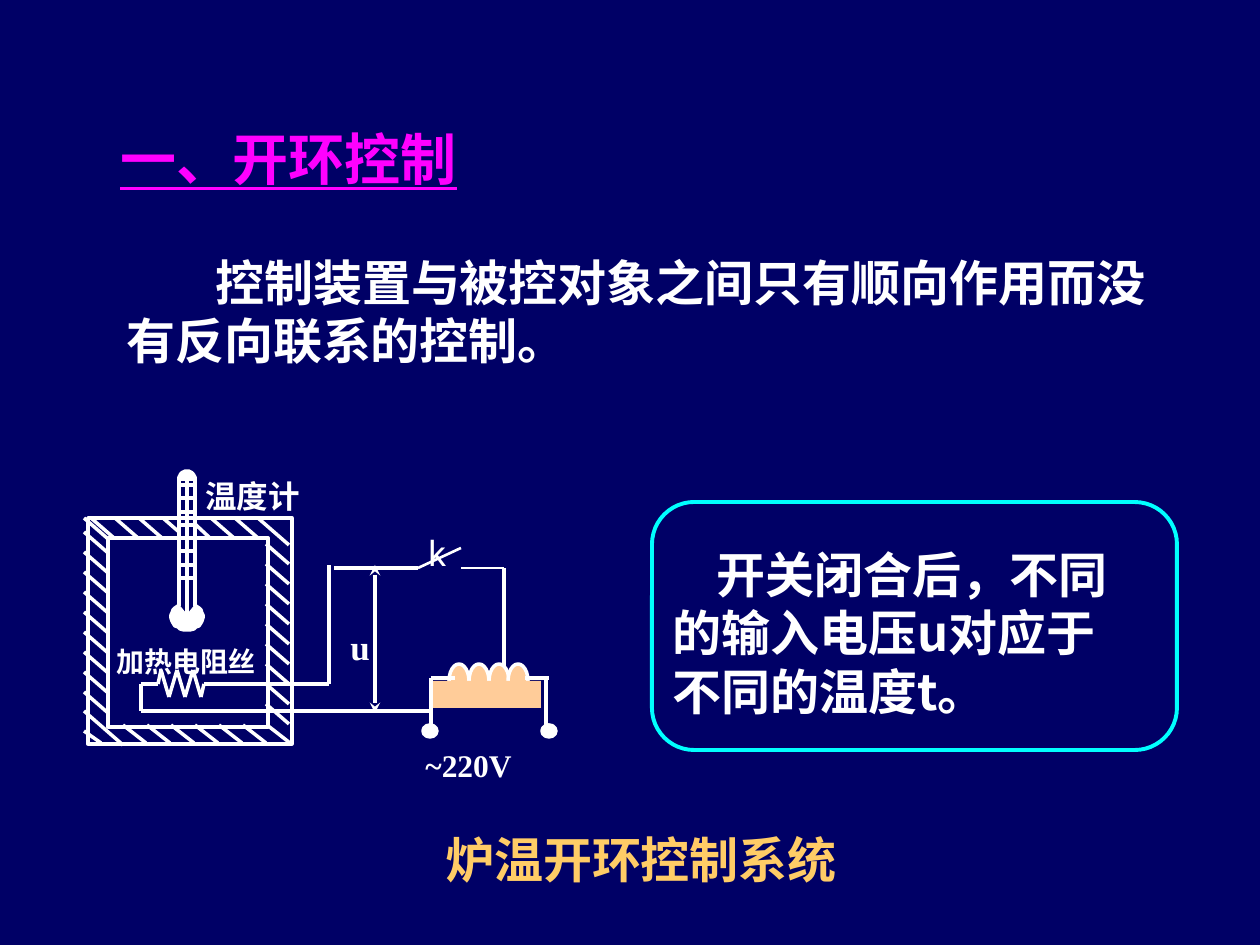
from math import cos, radians, sin

from lxml.etree import SubElement
from pptx import Presentation
from pptx.dml.color import RGBColor
from pptx.enum.shapes import MSO_CONNECTOR, MSO_SHAPE
from pptx.enum.text import MSO_ANCHOR, PP_ALIGN
from pptx.oxml.ns import qn
from pptx.util import Pt

PX = 914400 / 126
NAVY = RGBColor(0x00, 0x00, 0x66)
WHITE = RGBColor(0xFF, 0xFF, 0xFF)
MAGENTA = RGBColor(0xFF, 0x00, 0xFF)
CYAN = RGBColor(0x00, 0xFF, 0xFF)
PEACH = RGBColor(0xFF, 0xCC, 0x99)
GOLD = RGBColor(0xFF, 0xCC, 0x66)
SANS, SERIF, LABEL = "Noto Sans CJK SC", "Times New Roman", "Roboto"

# wording, (left, top, width, height), size, font, options
TEXTS = [
    ("一、开环控制", (95, 110, 387, 96), 32, SANS,
     dict(color=MAGENTA, underline=True, align=PP_ALIGN.CENTER, wrap=False,
          anchor=MSO_ANCHOR.MIDDLE, leading=1.2)),
    ("控制装置与被控对象之间只有顺向作用而没有反向联系的控制。",
     (114, 246, 1081, 131), 28, SERIF, dict(indent=89, leading=1.2)),
    ("温度计", (193, 463, 222, 86), 18, SERIF, dict(leading=1.44)),
    ("加热电阻丝", (104, 638, 228, 43), 16, SERIF, dict(leading=1.2)),
    ("u", (338, 619, 94, 74), 20, SERIF, {}),
    ("~220V", (413, 732, 179, 78), 18, SERIF, dict(leading=1.44)),
    ("k", (416, 525, 44, 55), 20, LABEL, dict(bold=False, wrap=False)),
    ("炉温开环控制系统", (244, 823, 794, 72), 28, SERIF,
     dict(color=GOLD, align=PP_ALIGN.CENTER, leading=1.2)),
    ("开关闭合后，不同的输入电压u对应于不同的温度t。",
     (660, 538, 496, 189), 28, SANS, dict(indent=44, leading=1.2)),
]

FURNACE_WALLS = [(88, 518, 204, 226), (108, 538, 160, 189)]
TERMINALS = [(423, 725, 14, 12), (542, 725, 14, 12)]
COIL_LEFTS = [449, 469, 489, 508]
HEATER = [(141, 711), (141, 684), (158, 684), (161, 670), (169, 697), (177, 670),
          (185, 697), (193, 670), (201, 697), (204, 684), (329, 684), (329, 565)]
WIRES = [
    (141, 711, 430, 711), (334, 568, 418, 568),
    (431, 678, 431, 726), (546, 678, 546, 726), (504, 568, 504, 667),
    (431, 678, 455, 678), (525, 678, 549, 678),
]
SWITCH = [(418, 568, 461, 548), (461, 568, 504, 568)]
VOLTAGE = (375, 565, 375, 713)
TUBE = [(179, 479, 179, 606), (195, 479, 195, 606), (187, 479, 187, 620)]

# hatching of the furnace wall: regular strokes, then the ones cut short or long
DX, DY = 24, 20
HATCH_STARTS = (
    [(84, 532 + DY * i) for i in range(9)]
    + [(266, 544 + DY * i) for i in range(9)]
    + [(91 + DX * i, 518) for i in (0, 1, 2, 5, 6)]
    + [(84, 518)]
)
FLOOR_STARTS = [(123 + DX * i, 725) for i in range(7)]
HATCH = (
    [(x, y, x + DX - 1, y + DY) for x, y in HATCH_STARTS]
    + [(x, y, x + DX - 1, y + 18) for x, y in FLOOR_STARTS]
    + [(163, 518, 179, 532), (195, 524, 210, 538), (258, 518, 289, 545),
       (84, 711, 123, 745), (84, 731, 101, 743)]
)


def px(*values):
    return [round(value * PX) for value in values]


def style(shape, fill=None, line=None, weight=2):
    shape.shadow.inherit = False
    if fill is None:
        shape.fill.background()
    else:
        shape.fill.solid()
        shape.fill.fore_color.rgb = fill
    if line is None:
        shape.line.fill.background()
    else:
        shape.line.color.rgb = line
        shape.line.width = Pt(weight)
    return shape


def add_preset(shapes, kind, place, **look):
    return style(shapes.add_shape(kind, *px(*place)), **look)


def add_line(shapes, ends, weight=2, arrows=False):
    line = shapes.add_connector(MSO_CONNECTOR.STRAIGHT, *px(*ends))
    line.line.color.rgb = WHITE
    line.line.width = Pt(weight)
    properties = line._element.spPr
    if arrows:
        outline = properties.find(qn("a:ln"))
        for end in ("a:headEnd", "a:tailEnd"):
            SubElement(outline, qn(end), type="stealth")
    SubElement(properties, qn("a:effectLst"))


def add_arc(shapes, center, radii, start, end):
    """Fill the part of an ellipse between two angles, closed by way of its center."""
    (cx, cy), (rx, ry) = center, radii
    angles = [radians(start + (end - start) * i / 24) for i in range(25)]
    builder = shapes.build_freeform(cx, cy, scale=PX)
    builder.add_line_segments(
        [(cx + rx * cos(angle), cy - ry * sin(angle)) for angle in angles], close=True)
    style(builder.convert_to_shape(), fill=WHITE, line=WHITE)


def add_text(shapes, wording, place, size, font, color=WHITE, bold=True, underline=None,
             align=PP_ALIGN.LEFT, wrap=True, anchor=MSO_ANCHOR.TOP, indent=0, leading=None):
    frame = shapes.add_textbox(*px(*place)).text_frame
    frame.word_wrap = wrap
    frame.vertical_anchor = anchor
    paragraph = frame.paragraphs[0]
    paragraph.text = wording
    paragraph.alignment = align
    if leading:
        paragraph.line_spacing = Pt(size * leading)
    letters = paragraph.font
    letters.size, letters.bold, letters.underline = Pt(size), bold, underline
    letters.color.rgb = color
    letters.name = font
    settings = paragraph._p.pPr
    SubElement(settings.find(qn("a:defRPr")), qn("a:ea"), typeface=SANS)
    if indent:
        settings.set("marL", "0")
        settings.set("indent", str(px(indent)[0]))


def draw_furnace(shapes):
    for wall in FURNACE_WALLS:
        add_preset(shapes, MSO_SHAPE.RECTANGLE, wall, line=WHITE)
    for stroke in HATCH:
        add_line(shapes, stroke)
    for start, end in zip(HEATER, HEATER[1:]):
        add_line(shapes, start + end)


def draw_thermometer(shapes):
    add_arc(shapes, (187, 617), (16, 13), 125, 415)
    add_arc(shapes, (187, 479), (8, 8), 0, 180)
    marks = [(179, 485 + round(13.3 * i), 195, 485 + round(13.3 * i)) for i in range(8)]
    for stroke in TUBE + marks:
        add_line(shapes, stroke)


def draw_supply(shapes):
    for terminal in TERMINALS:
        add_preset(shapes, MSO_SHAPE.OVAL, terminal, fill=WHITE, line=WHITE)
    for left in COIL_LEFTS:
        add_preset(shapes, MSO_SHAPE.OVAL, (left, 664, 20, 34), fill=PEACH, line=WHITE)
    add_preset(shapes, MSO_SHAPE.RECTANGLE, (431, 681, 110, 27), fill=PEACH)
    for wire in WIRES:
        add_line(shapes, wire)
    for part in SWITCH:
        add_line(shapes, part, weight=1.5)
    add_line(shapes, VOLTAGE, arrows=True)


def main():
    deck = Presentation()
    deck.slide_width, deck.slide_height = px(1260, 945)
    page = deck.slides.add_slide(deck.slide_layouts[6])
    page.background.fill.solid()
    page.background.fill.fore_color.rgb = NAVY

    diagram = page.shapes.add_group_shape().shapes
    draw_furnace(diagram)
    draw_thermometer(diagram)
    draw_supply(diagram)
    note = add_preset(page.shapes, MSO_SHAPE.ROUNDED_RECTANGLE, (652, 502, 525, 248),
                      line=CYAN, weight=2.25)
    note.adjustments[0] = 0.17
    for wording, place, size, font, options in TEXTS:
        add_text(page.shapes, wording, place, size, font, **options)
    deck.save("out.pptx")


if __name__ == "__main__":
    main()
